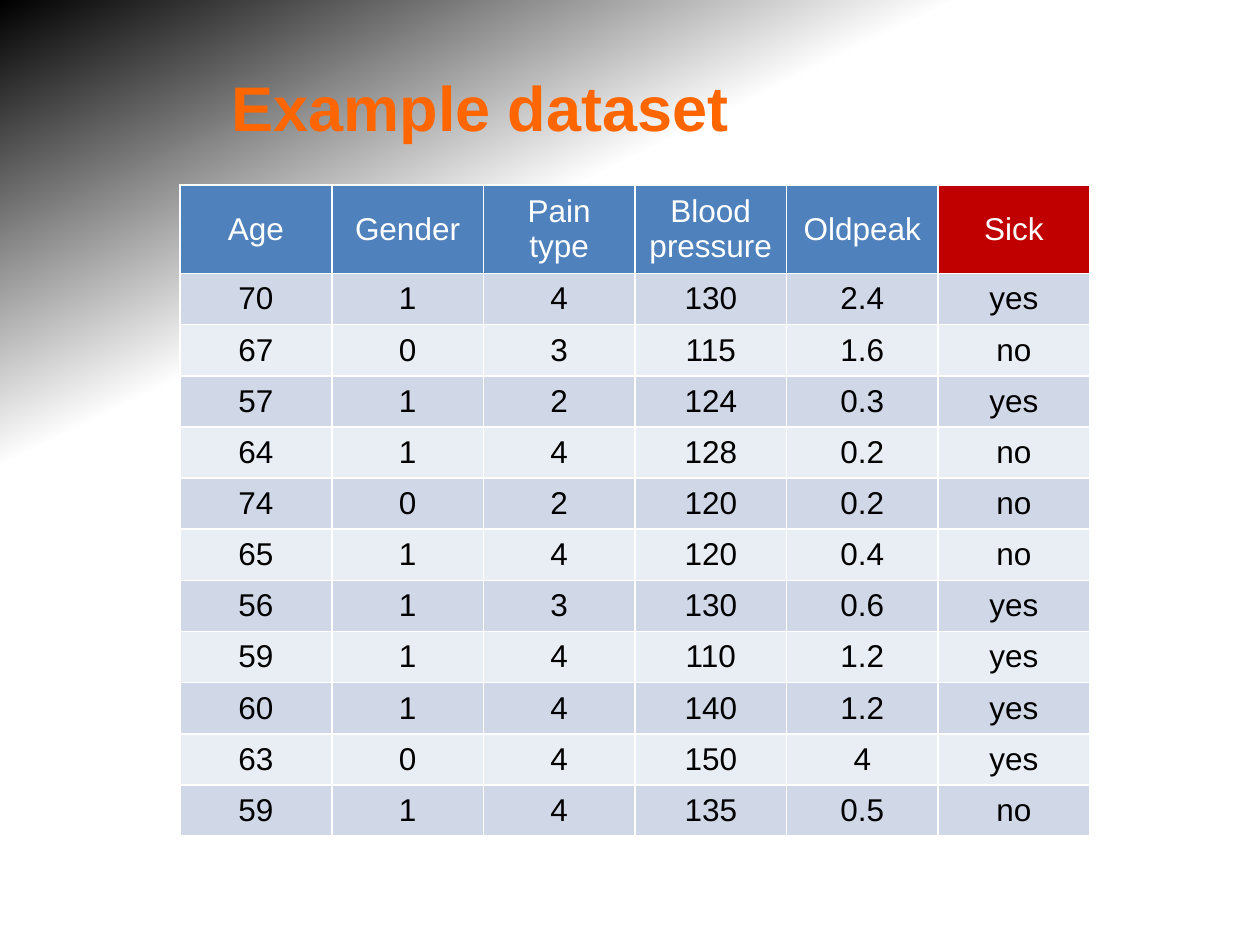
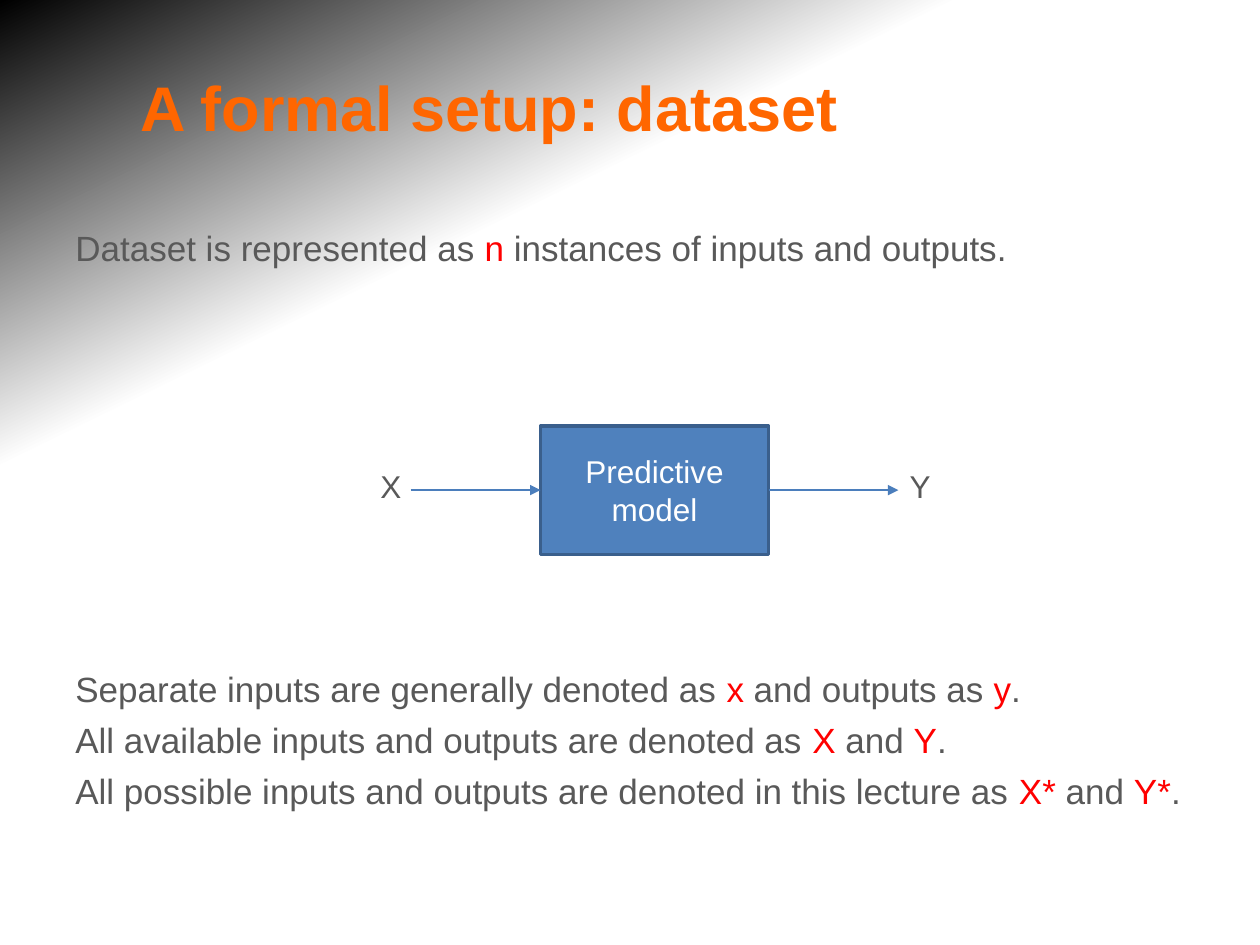
from lxml.etree import SubElement
from pptx import Presentation
from pptx.dml.color import RGBColor
from pptx.enum.shapes import MSO_CONNECTOR, MSO_SHAPE
from pptx.enum.text import MSO_ANCHOR, PP_ALIGN
from pptx.oxml.ns import qn
from pptx.util import Inches, Pt

HUES = {
    "title": "FF6600", "text": "595959", "mark": "FF0000",
    "white": "FFFFFF", "black": "000000",
    "blue": "4F81BD", "edge": "3A5F8C", "arrow": "4B7EBC",
    "sick": "C00000", "odd": "D0D8E8", "even": "E9EDF4",
}
# Position in %, hue, opacity in %
FADE = [(0, "white", 100), (70, "white", 100), (100, "black", 41)]

HEADS = ["Age", "Gender", "Pain type", "Blood pressure", "Oldpeak", "Sick"]
CASES = [
    (70, 1, 4, 130, 2.4, "yes"),
    (67, 0, 3, 115, 1.6, "no"),
    (57, 1, 2, 124, 0.3, "yes"),
    (64, 1, 4, 128, 0.2, "no"),
    (74, 0, 2, 120, 0.2, "no"),
    (65, 1, 4, 120, 0.4, "no"),
    (56, 1, 3, 130, 0.6, "yes"),
    (59, 1, 4, 110, 1.2, "yes"),
    (60, 1, 4, 140, 1.2, "yes"),
    (63, 0, 4, 150, 4, "yes"),
    (59, 1, 4, 135, 0.5, "no"),
]

# Runs alternate between plain and marked text
INTRO = [("Dataset is represented as ", "n ", "instances of inputs and outputs.")]
NOTES = [
    ("Separate inputs are generally denoted as ", "x", " and outputs as ", "y", "."),
    ("All available inputs and outputs are denoted as ", "X", " and ", "Y", "."),
    ("All possible inputs and outputs are denoted in this lecture as ",
     "X* ", "and ", "Y*", "."),
]
MODEL = (4.29, 3.38, 1.81, 1.02)
REACH = 1.03
LABELS = [("X", 2.92), ("Y", 7.12)]

TITLE = {"size": Pt(36), "bold": True, "name": "Arial"}
BODY = {"size": Pt(20), "name": "Arial"}
SMALL = {"size": Pt(18), "name": "Arial"}
TABBED = {"vertical_anchor": MSO_ANCHOR.MIDDLE,
          "margin_left": Inches(0.03), "margin_right": Inches(0.03),
          "margin_top": Inches(0.02), "margin_bottom": Inches(0.02)}
MIDDLE = {"vertical_anchor": MSO_ANCHOR.MIDDLE}


def rgb(hue):
    return RGBColor.from_string(HUES[hue])


def apply(obj, form):
    for name, value in form.items():
        setattr(obj, name, value)


def put(para, text, form, hue, align=None):
    """Add a run in the given format to a paragraph."""
    para.alignment = align
    run = para.add_run()
    run.text = text
    apply(run.font, form)
    run.font.color.rgb = rgb(hue)


def paint(slide):
    """Fade the top left corner of the background to black."""
    fill = slide.background.fill
    fill.gradient()
    fill.gradient_angle = 116
    stops = slide.element.find(".//" + qn("a:gsLst"))
    for stop in list(stops):
        stops.remove(stop)
    for pos, hue, alpha in FADE:
        stop = SubElement(stops, qn("a:gs"), pos=str(pos * 1000))
        tint = SubElement(stop, qn("a:srgbClr"), val=HUES[hue])
        if alpha < 100:
            SubElement(tint, qn("a:alpha"), val=str(alpha * 1000))


def add_box(slide, place, wrap=True):
    box = slide.shapes.add_textbox(*map(Inches, place))
    box.text_frame.word_wrap = wrap
    return box.text_frame


def start(deck, title):
    """Add a slide with the shared background and title."""
    slide = deck.slides.add_slide(deck.slide_layouts[6])
    paint(slide)
    frame = add_box(slide, (0.5, 0.33, 6.74, 1.03))
    apply(frame, {**MIDDLE, "margin_left": Inches(0.12)})
    put(frame.paragraphs[0], title, TITLE, "title", PP_ALIGN.CENTER)
    return slide


def edge(cell):
    """Draw thin white borders; they come before the fill in the XML."""
    props = cell._tc.get_or_add_tcPr()
    for side in ("L", "R", "T", "B"):
        line = SubElement(props, qn("a:ln" + side), w=str(Pt(1)))
        fill = SubElement(line, qn("a:solidFill"))
        SubElement(fill, qn("a:srgbClr"), val=HUES["white"])


def set_cell(cell, text, form, fill, hue):
    apply(cell, form)
    edge(cell)
    cell.fill.solid()
    cell.fill.fore_color.rgb = rgb(fill)
    put(cell.text_frame.paragraphs[0], str(text), SMALL, hue, PP_ALIGN.CENTER)


def add_cases(slide):
    high, low = 0.66, 0.406
    size = (7.22, high + low * len(CASES))
    table = slide.shapes.add_table(len(CASES) + 1, len(HEADS),
                                   *map(Inches, (1.43, 1.47, *size))).table
    for col in table.columns:
        col.width = Inches(size[0] / len(HEADS))
    for i, row in enumerate(table.rows):
        row.height = Inches(low if i else high)
    for j, head in enumerate(HEADS):
        fill = "sick" if head == "Sick" else "blue"
        set_cell(table.cell(0, j), head, MIDDLE, fill, "white")
    for i, case in enumerate(CASES, 1):
        fill = "odd" if i % 2 else "even"
        for j, value in enumerate(case):
            set_cell(table.cell(i, j), value, TABBED, fill, "black")


def add_lines(slide, lines, top, height):
    frame = add_box(slide, (0.5, top, 9, height))
    for i, line in enumerate(lines):
        para = frame.add_paragraph() if i else frame.paragraphs[0]
        para.space_before = Pt(5 if i else 0)
        for j, text in enumerate(line):
            put(para, text, BODY, "mark" if j % 2 else "text")


def add_arrow(slide, left, y):
    ends = map(Inches, (left, y, left + REACH, y))
    arrow = slide.shapes.add_connector(MSO_CONNECTOR.STRAIGHT, *ends)
    arrow.line.color.rgb = rgb("arrow")
    arrow.line.width = Pt(0.75)
    SubElement(arrow.line._get_or_add_ln(), qn("a:tailEnd"), type="triangle")
    SubElement(arrow._element.spPr, qn("a:effectLst"))


def add_model(slide):
    left, top, width, height = MODEL
    box = slide.shapes.add_shape(MSO_SHAPE.RECTANGLE, *map(Inches, MODEL))
    box.shadow.inherit = False
    box.fill.solid()
    box.fill.fore_color.rgb = rgb("blue")
    box.line.color.rgb = rgb("edge")
    box.line.width = Pt(2)
    apply(box.text_frame, {**MIDDLE, "word_wrap": True})
    put(box.text_frame.paragraphs[0], "Predictive model", SMALL, "white",
        PP_ALIGN.CENTER)
    for x in (left - REACH, left + width):
        add_arrow(slide, x, top + height / 2)
    for text, x in LABELS:
        frame = add_box(slide, (x, 3.66, 0.38, 0.45), wrap=False)
        put(frame.paragraphs[0], text, SMALL, "text")


def main():
    deck = Presentation()
    apply(deck, {"slide_width": Inches(10), "slide_height": Inches(7.5)})

    add_cases(start(deck, "Example dataset "))

    setup = start(deck, "A formal setup: dataset")
    add_lines(setup, INTRO, 1.75, 0.45)
    add_lines(setup, NOTES, 5.25, 1.38)
    add_model(setup)

    deck.save("out.pptx")


if __name__ == "__main__":
    main()
